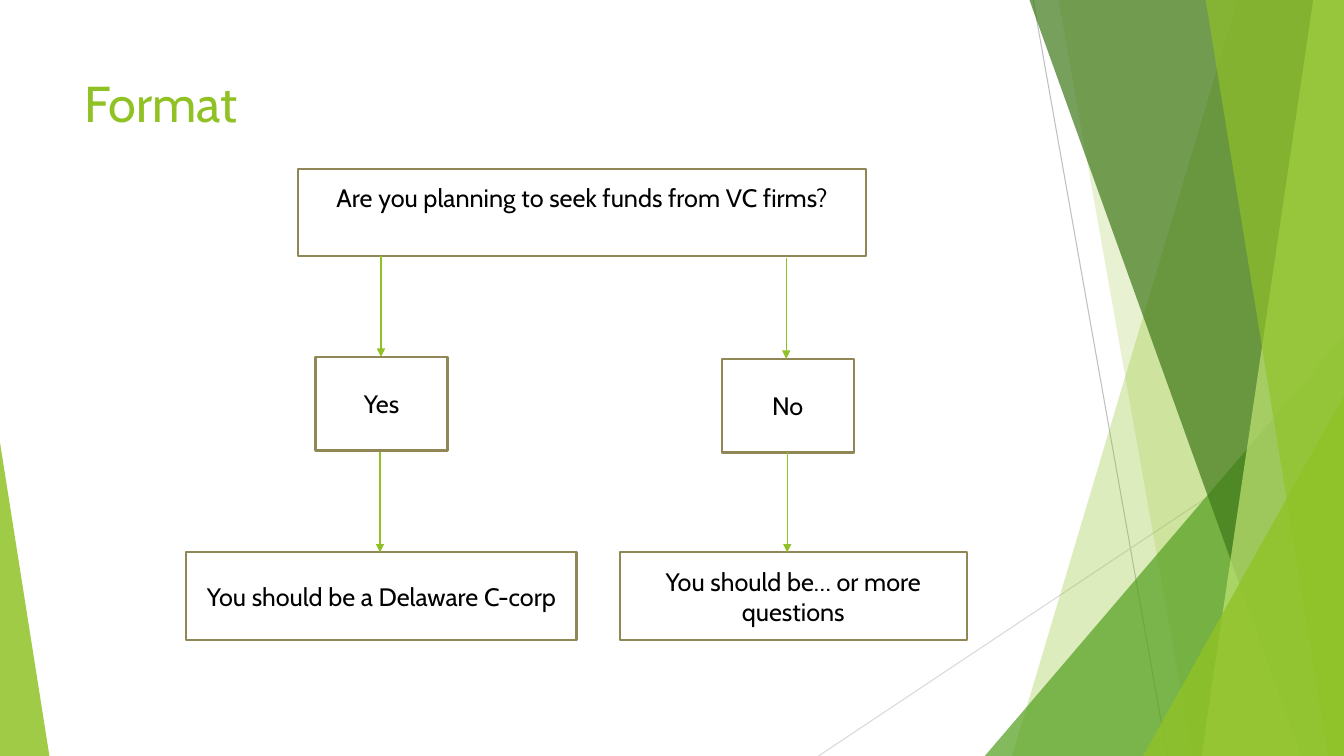
from dataclasses import dataclass

from lxml.etree import SubElement
from pptx import Presentation
from pptx.dml.color import RGBColor
from pptx.enum.shapes import MSO_CONNECTOR, MSO_SHAPE
from pptx.enum.text import MSO_ANCHOR, PP_ALIGN
from pptx.oxml.ns import qn
from pptx.shapes.autoshape import Shape
from pptx.shapes.connector import Connector
from pptx.shapes.shapetree import SlideShapes
from pptx.slide import Slide
from pptx.text.text import TextFrame
from pptx.util import Pt

WIDTH, HEIGHT = 960, 540
BLEED = 0.6
ARROW_LENGTH = 72
INSET = 3.6
FONT = "Cabin"

GREEN = RGBColor(0x90, 0xC2, 0x26)
MID_GREEN = RGBColor(0x54, 0xA0, 0x21)
DARK_GREEN = RGBColor(0x3F, 0x78, 0x19)
PALE_GREEN = RGBColor(0xC0, 0xE4, 0x74)
OLIVE = RGBColor(0x91, 0x86, 0x55)
GREY = RGBColor(0xBF, 0xBF, 0xBF)
LIGHT_GREY = RGBColor(0xD9, 0xD9, 0xD9)
BLACK = RGBColor(0, 0, 0)
WHITE = RGBColor(0xFF, 0xFF, 0xFF)


@dataclass(frozen=True)
class Facet:
    """A band from a slanted left edge to the right edge of the slide."""
    top_x: float
    bottom_x: float
    color: RGBColor
    opacity: int


@dataclass(frozen=True)
class Corner:
    """A right triangle on the bottom edge; apex is 0 for left, 1 for right."""
    left: float
    top: float
    width: float
    apex: int
    color: RGBColor
    opacity: int


@dataclass(frozen=True)
class Box:
    text: str
    left: float
    top: float
    width: float
    height: float
    bottom_inset: float = INSET


@dataclass(frozen=True)
class Arrow:
    x: float
    top: float


DECORATION = [
    Facet(884.16, 722.88, GREEN, 30),
    Facet(756, 851.76, GREEN, 20),
    Corner(703.44, 239.76, 256.56, 1, MID_GREEN, 72),
    Facet(735.12, 929.52, DARK_GREEN, 70),
    Facet(938.16, 858.24, PALE_GREEN, 70),
    Facet(861.12, 948.96, GREEN, 65),
    Corner(816.48, 282.96, 143.52, 1, GREEN, 80),
    Corner(0, 316.08, 35.28, 0, GREEN, 85),
]

BOXES = [
    Box("Are you planning to seek funds from VC firms?",
        213.12, 120.96, 405.36, 61.92, bottom_inset=25.5),
    Box("Yes", 225.36, 254.88, 94.32, 66.96),
    Box("No", 515.52, 256.32, 94.32, 66.96),
    Box("You should be a Delaware C-corp", 133.2, 394.56, 278.64, 62.64),
    Box("You should be… or more questions", 442.8, 394.56, 247.68, 62.64),
]

ARROWS = [
    Arrow(272.16, 182.88),
    Arrow(561.6, 184.32),
    Arrow(271.44, 322.56),
    Arrow(562.32, 322.56),
]


def fill_translucent(shape: Shape, color: RGBColor, opacity: int) -> None:
    shape.shadow.inherit = False
    shape.line.fill.background()
    shape.fill.solid()
    shape.fill.fore_color.rgb = color
    color_element = shape.element.spPr.find(".//" + qn("a:srgbClr"))
    SubElement(color_element, qn("a:alpha"), val=str(opacity * 1000))


def add_line(shapes: SlideShapes, start: tuple[float, float],
             end: tuple[float, float], color: RGBColor,
             weight: float) -> Connector:
    line = shapes.add_connector(
        MSO_CONNECTOR.STRAIGHT, *map(Pt, start), *map(Pt, end))
    line.line.color.rgb = color
    line.line.width = Pt(weight)
    SubElement(line.element.spPr, qn("a:effectLst"))
    return line


def add_facet(shapes: SlideShapes, facet: Facet) -> None:
    builder = shapes.build_freeform(Pt(facet.top_x), Pt(-BLEED))
    builder.add_line_segments([
        (Pt(WIDTH), Pt(-BLEED)),
        (Pt(WIDTH), Pt(HEIGHT)),
        (Pt(facet.bottom_x), Pt(HEIGHT)),
    ])
    fill_translucent(builder.convert_to_shape(), facet.color, facet.opacity)


def add_corner(shapes: SlideShapes, corner: Corner) -> None:
    triangle = shapes.add_shape(
        MSO_SHAPE.ISOSCELES_TRIANGLE, Pt(corner.left), Pt(corner.top),
        Pt(corner.width), Pt(HEIGHT - corner.top))
    triangle.adjustments[0] = corner.apex
    fill_translucent(triangle, corner.color, corner.opacity)


def write(frame: TextFrame, text: str, size: float, color: RGBColor,
          alignment: PP_ALIGN, anchor: MSO_ANCHOR) -> None:
    frame.text = text
    frame.word_wrap = True
    frame.vertical_anchor = anchor
    paragraph = frame.paragraphs[0]
    paragraph.alignment = alignment
    font = paragraph.runs[0].font
    font.name = FONT
    font.size = Pt(size)
    font.color.rgb = color


def add_box(shapes: SlideShapes, box: Box) -> None:
    rectangle = shapes.add_shape(
        MSO_SHAPE.RECTANGLE, Pt(box.left), Pt(box.top),
        Pt(box.width), Pt(box.height))
    rectangle.shadow.inherit = False
    rectangle.fill.solid()
    rectangle.fill.fore_color.rgb = WHITE
    rectangle.line.color.rgb = OLIVE
    rectangle.line.width = Pt(1.5)
    rectangle.text_frame.margin_bottom = Pt(box.bottom_inset)
    write(rectangle.text_frame, box.text, 18, BLACK,
          PP_ALIGN.CENTER, MSO_ANCHOR.MIDDLE)


def add_arrow(shapes: SlideShapes, arrow: Arrow) -> None:
    line = add_line(shapes, (arrow.x, arrow.top),
                    (arrow.x, arrow.top + ARROW_LENGTH), GREEN, 1)
    outline = line.element.spPr.find(qn("a:ln"))
    SubElement(outline, qn("a:tailEnd"), type="triangle")


def add_decoration(shapes: SlideShapes) -> None:
    add_line(shapes, (738, 0), (833.76, HEIGHT), GREY, 0.75)
    add_line(shapes, (WIDTH, 290.16), (584.64, HEIGHT), LIGHT_GREY, 0.75)
    for part in DECORATION:
        if isinstance(part, Facet):
            add_facet(shapes, part)
        else:
            add_corner(shapes, part)


def place_title(slide: Slide, text: str) -> None:
    """Format the title placeholder and lift it above the decoration."""
    title = slide.shapes.title
    title.left, title.top = Pt(53.28), Pt(48.24)
    title.width, title.height = Pt(676.8), Pt(103.68)
    write(title.text_frame, text, 36, GREEN, PP_ALIGN.LEFT, MSO_ANCHOR.TOP)
    title.element.getparent().append(title.element)


def main() -> None:
    presentation = Presentation()
    presentation.slide_width, presentation.slide_height = Pt(WIDTH), Pt(HEIGHT)
    slide = presentation.slides.add_slide(
        presentation.slide_layouts.get_by_name("Title Only"))
    add_decoration(slide.shapes)
    place_title(slide, "Format")
    for box in BOXES:
        add_box(slide.shapes, box)
    for arrow in ARROWS:
        add_arrow(slide.shapes, arrow)
    presentation.save("out.pptx")


if __name__ == "__main__":
    main()
